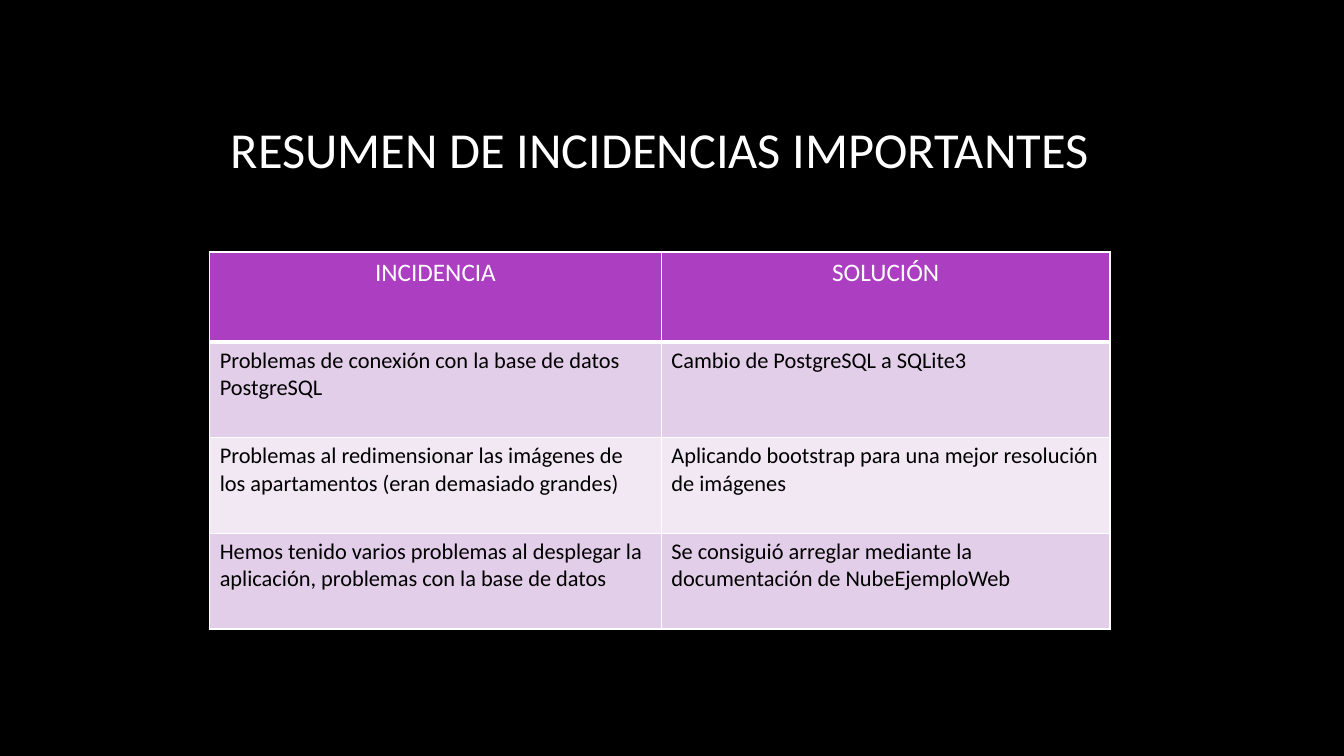
from lxml import etree
from pptx import Presentation
from pptx.dml.color import RGBColor
from pptx.enum.text import MSO_ANCHOR, PP_ALIGN
from pptx.oxml.ns import qn
from pptx.util import Inches, Pt

LEFT, CENTER = PP_ALIGN.LEFT, PP_ALIGN.CENTER
MIDDLE = MSO_ANCHOR.MIDDLE
WHITE, BLACK = "FFFFFF", "000000"
PURPLE, LILAC, PALE = "AC3EC1", "E3CEE9", "F1E8F4"


def write(frame, text, size=16, color=BLACK, align=LEFT):
    para = frame.paragraphs[0]
    para.alignment = align
    run = para.add_run()
    run.text = text
    run.font.name = "Calibri"
    run.font.size = Pt(size)
    run.font.color.rgb = RGBColor.from_string(color)


def border(cell, widths):
    props = cell._tc.get_or_add_tcPr()
    for place, (side, width) in enumerate(widths.items()):
        line = etree.Element(qn(f"a:ln{side}"), w=str(Pt(width)))
        fill = etree.SubElement(line, qn("a:solidFill"))
        etree.SubElement(fill, qn("a:srgbClr"), val=WHITE)
        props.insert(place, line)


# Slide and background
deck = Presentation()
deck.slide_width, deck.slide_height = Inches(13.33), Inches(7.5)
slide = deck.slides.add_slide(deck.slide_layouts[6])
back = slide.background.fill
back.solid()
back.fore_color.rgb = RGBColor.from_string(BLACK)

# Title
title = slide.shapes.add_textbox(Inches(1.12), Inches(0.68), Inches(11.08), Inches(1.59))
frame = title.text_frame
frame.word_wrap = True
frame.vertical_anchor = MIDDLE
frame.margin_left = Inches(1.17)
write(frame, "RESUMEN DE INCIDENCIAS IMPORTANTES", size=36, color=WHITE)

# Table of issues and fixes
rows = [
    ("INCIDENCIA", "SOLUCIÓN"),
    ("Problemas de conexión con la base de datos PostgreSQL",
     "Cambio de PostgreSQL a SQLite3"),
    ("Problemas al redimensionar las imágenes de los apartamentos (eran demasiado grandes)",
     "Aplicando bootstrap para una mejor resolución de imágenes"),
    ("Hemos tenido varios problemas al desplegar la aplicación, problemas con la base de datos",
     "Se consiguió arreglar mediante la documentación de NubeEjemploWeb"),
]
table = slide.shapes.add_table(
    len(rows), 2, Inches(2.08), Inches(2.5), Inches(8.93), Inches(3.74)).table
for col, width in zip(table.columns, (4.48, 4.45)):
    col.width = Inches(width)

for i, row in enumerate(rows):
    head = i == 0
    table.rows[i].height = Inches(0.89 if head else 0.95)
    shade = PURPLE if head else LILAC if i % 2 else PALE
    for j, text in enumerate(row):
        cell = table.cell(i, j)
        cell.fill.solid()
        cell.fill.fore_color.rgb = RGBColor.from_string(shade)
        border(cell, {"L": 1, "R": 1, "T": 3 if i == 1 else 1, "B": 3 if head else 1})
        if head:
            write(cell.text_frame, text, size=18, color=WHITE, align=CENTER)
        else:
            write(cell.text_frame, text)

deck.save("out.pptx")
